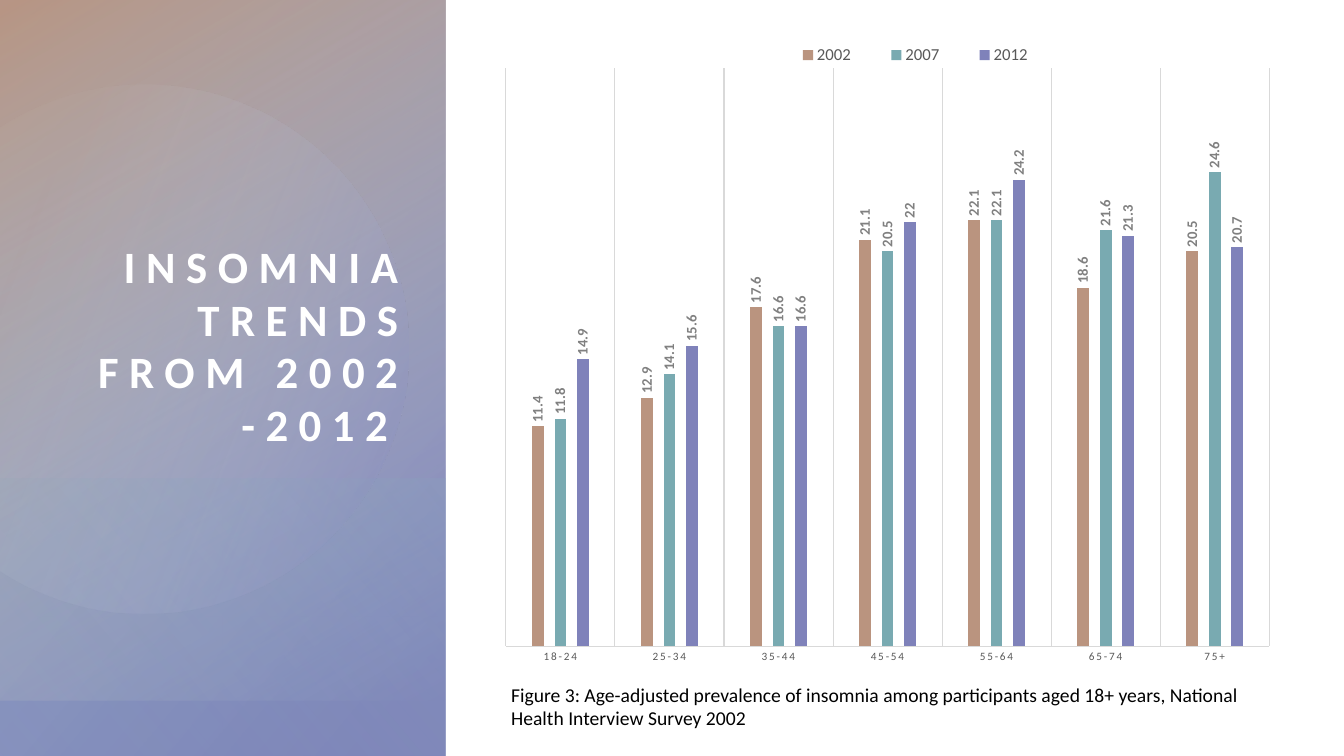
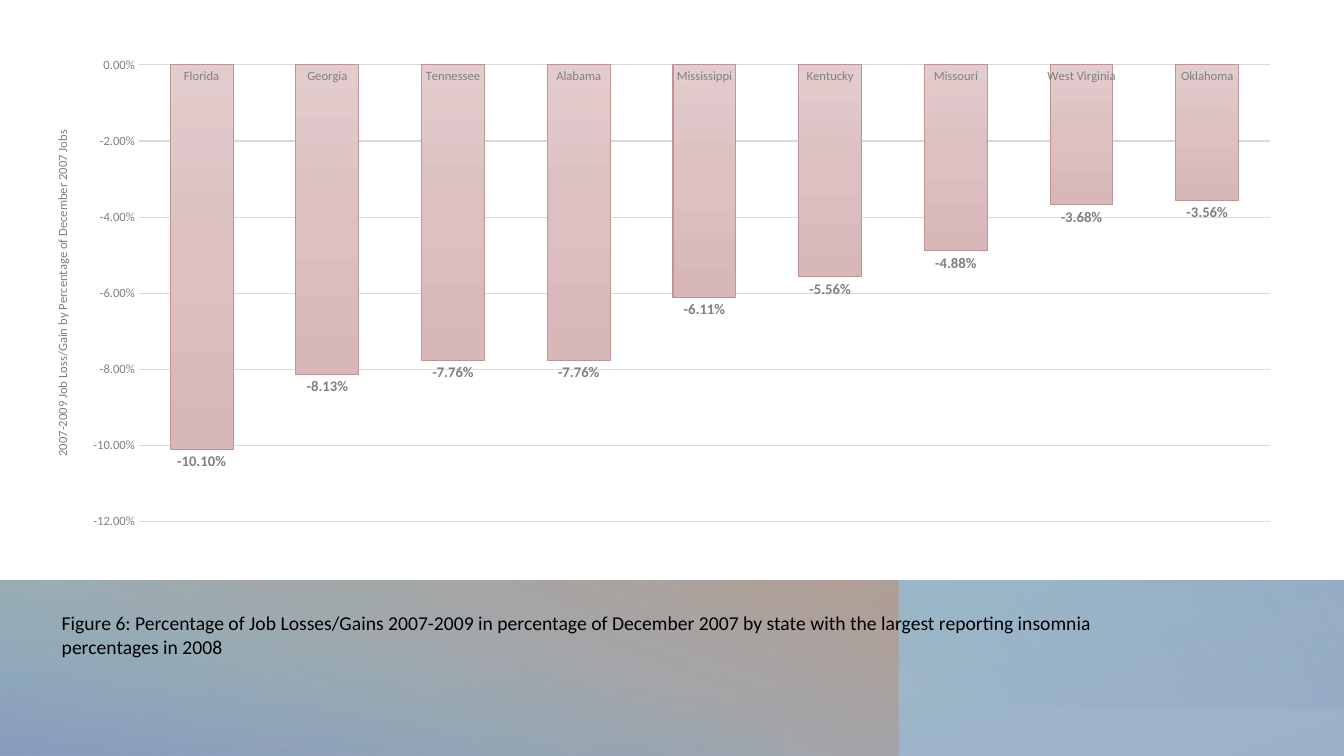
from math import acos, cos, degrees, radians, sin

from lxml.etree import SubElement
from pptx import Presentation
from pptx.chart.data import CategoryChartData
from pptx.dml.color import RGBColor
from pptx.enum.chart import XL_CHART_TYPE as ChartType
from pptx.enum.chart import XL_LABEL_POSITION as LabelPosition
from pptx.enum.chart import XL_LEGEND_POSITION as LegendPosition
from pptx.enum.chart import XL_TICK_MARK as TickMark
from pptx.enum.shapes import MSO_SHAPE as Preset
from pptx.enum.text import MSO_ANCHOR as Anchor
from pptx.enum.text import MSO_AUTO_SIZE as AutoSize
from pptx.enum.text import PP_ALIGN as Align
from pptx.oxml.ns import qn
from pptx.util import Pt

FONT = "Calibri"
TAN, TEAL, VIOLET, BLUE = "BA947F", "79AAB1", "7F82BA", "8AA3C0"
GRID, GREY, DARK_GREY, BLACK, WHITE = "D9D9D9", "808080", "595959", "000000", "FFFFFF"
UPRIGHT = "-5400000"


def rgb(hex_colour):
    return RGBColor.from_string(hex_colour)


def set_gradient(fill, properties, stops, angle):
    """Fill with (position, colour, opacity) stops in percent, angle clockwise."""
    fill.gradient()
    gradient = properties.find(qn("a:gradFill"))
    gradient.clear()
    gradient.set("rotWithShape", "1")
    stop_list = SubElement(gradient, qn("a:gsLst"))
    for position, colour, opacity in stops:
        stop = SubElement(stop_list, qn("a:gs"), pos=str(position * 1000))
        tint = SubElement(stop, qn("a:srgbClr"), val=colour)
        SubElement(tint, qn("a:alpha"), val=str(opacity * 1000))
    SubElement(gradient, qn("a:lin"), ang=str(round(angle * 60000)), scaled="0")


prs = Presentation()
prs.slide_width, prs.slide_height = Pt(960), Pt(540)

# Panels: visible box, rotation, mirrored, gradient stops, gradient angle
slide_designs = [
    {
        "layout": 5,
        "panels": [
            ((0, 0, 318, 540), 90, True, [(8, VIOLET, 100), (100, BLUE, 89)], 50),
            ((0, 0, 318, 500), 90, True, [(0, "B9C8D9", 0), (99, TAN, 92)], 30),
            ((0, 342, 318, 198), 90, True, [(2, BLUE, 28), (100, TEAL, 0)], 130),
        ],
        "chart_box": (350, 16, 568, 469),
        "plot_layout": (0.02, 0.07, 0.96, 0.88),
        "categories": ["18-24", "25-34", "35-44", "45-54", "55-64", "65-74", "75+"],
        "series": {
            "2002": [11.4, 12.9, 17.6, 21.1, 22.1, 18.6, 20.5],
            "2007": [11.8, 14.1, 16.6, 20.5, 22.1, 21.6, 24.6],
            "2012": [14.9, 15.6, 16.6, 22, 24.2, 21.3, 20.7],
        },
        "number_format": "General",
        "bars": {"gap_width": 444, "overlap": -90},
        "scale": {"minimum_scale": 0, "maximum_scale": 30, "major_unit": 5},
        "category_font": (8, DARK_GREY),
        "caption_box": (358, 484, 549, 41),
        "caption": "Figure 3: Age-adjusted prevalence of insomnia among participants "
                   "aged 18+ years, National Health Interview Survey 2002",
    },
    {
        "layout": 6,
        "panels": [
            ((0, 415, 960, 125), 0, False, [(0, BLUE, 83), (100, TEAL, 74)], 250),
            ((0, 415, 642, 125), 90, True, [(5, TAN, 68), (100, BLUE, 43)], 160),
            ((0, 415, 558, 125), 270, False, [(42, TEAL, 0), (99, VIOLET, 48)], 190),
            ((388, 415, 572, 91), 180, False, [(0, BLUE, 37), (56, BLUE, 0)], 330),
        ],
        "chart_box": (37, 36, 888, 347),
        "plot_layout": (0.07, 0.03, 0.91, 0.94),
        "categories": ["Florida", "Georgia", "Tennessee", "Alabama", "Mississippi",
                       "Kentucky", "Missouri", "West Virginia", "Oklahoma"],
        "series": {
            "Series 1": [-0.101, -0.0813, -0.0776, -0.0776, -0.0611,
                         -0.0556, -0.0488, -0.0368, -0.0356],
        },
        "number_format": "0.00%",
        "bars": {"gap_width": 100, "overlap": -24},
        "scale": {"minimum_scale": -0.12, "maximum_scale": 0, "major_unit": 0.02},
        "category_font": (9, GREY),
        "caption_box": (37, 433, 804, 41),
        "caption": "Figure 6: Percentage of Job Losses/Gains 2007-2009 in percentage of "
                   "December 2007 by state with the largest reporting insomnia "
                   "percentages in 2008",
    },
]

slides, charts = [], []
for design in slide_designs:
    slide = prs.slides.add_slide(prs.slide_layouts[design["layout"]])
    slides.append(slide)

    for (left, top, width, height), rotation, mirrored, stops, angle in design["panels"]:
        # A quarter turn swaps the sides around the same centre
        if rotation % 180:
            left, top = left + (width - height) / 2, top + (height - width) / 2
            width, height = height, width
        panel = slide.shapes.add_shape(
            Preset.RECTANGLE, Pt(left), Pt(top), Pt(width), Pt(height))
        panel.shadow.inherit = False
        panel.line.fill.background()
        panel.rotation = rotation
        if mirrored:
            panel._element.spPr.xfrm.set("flipH", "1")
        set_gradient(panel.fill, panel._element.spPr, stops, angle)

    data = CategoryChartData(number_format=design["number_format"])
    data.categories = design["categories"]
    for name, values in design["series"].items():
        data.add_series(name, values)
    chart = slide.shapes.add_chart(
        ChartType.COLUMN_CLUSTERED, *map(Pt, design["chart_box"]), data).chart
    charts.append(chart)
    chart.has_title = False
    chart.has_legend = False

    plot = chart.plots[0]
    plot.vary_by_categories = False
    plot.has_data_labels = True
    labels = plot.data_labels
    ages_or_states, amounts = chart.category_axis, chart.value_axis
    for target, settings in (
        (plot, design["bars"]),
        (amounts, design["scale"]),
        (labels, {"show_value": True, "position": LabelPosition.OUTSIDE_END,
                  "number_format": design["number_format"],
                  "number_format_is_linked": False}),
    ):
        for attribute, value in settings.items():
            setattr(target, attribute, value)

    for font, size, colour, bold in (
        (chart.font, 10, BLACK, False),
        (labels.font, 10.5, GREY, True),
        (ages_or_states.tick_labels.font, *design["category_font"], False),
        (amounts.tick_labels.font, 9, GREY, False),
    ):
        font.name, font.size, font.bold = FONT, Pt(size), bold
        font.color.rgb = rgb(colour)

    for axis in (ages_or_states, amounts):
        axis.major_tick_mark = axis.minor_tick_mark = TickMark.NONE
    amounts.format.line.fill.background()

    caption = slide.shapes.add_textbox(*map(Pt, design["caption_box"])).text_frame
    caption.word_wrap = True
    caption.text = design["caption"]
    caption_font = caption.paragraphs[0].runs[0].font
    caption_font.name, caption_font.size = FONT, Pt(14)
    caption_font.color.rgb = rgb(BLACK)

trend_slide = slides[0]
trend_chart, job_chart = charts

# Translucent disc, cut off at the left edge of the slide
centre_x, centre_y, radius = 103, 249.5, 189
reach = degrees(acos(-centre_x / radius))
steps = 120
rim = []
for step in range(steps + 1):
    turn = radians(-reach + 2 * reach * step / steps)
    rim.append((Pt(centre_x + radius * cos(turn)), Pt(centre_y + radius * sin(turn))))
outline = trend_slide.shapes.build_freeform(*rim[0])
outline.add_line_segments(rim[1:], close=True)
disc = outline.convert_to_shape()
disc.shadow.inherit = False
disc.line.fill.background()
set_gradient(disc.fill, disc._element.spPr, [(13, "E4EEEF", 2), (100, VIOLET, 29)], 21.6)

# Title, brought in front of the panels
title = trend_slide.shapes.title
title.left, title.top, title.width, title.height = Pt(37), Pt(54), Pt(255), Pt(269)
title._element.getparent().append(title._element)
heading = title.text_frame
heading.text = "INSOMNIA TRENDS FROM 2002 -2012 "
for attribute, value in {
    "word_wrap": True, "auto_size": AutoSize.NONE, "vertical_anchor": Anchor.BOTTOM,
    "margin_left": 0, "margin_top": 0, "margin_right": 0, "margin_bottom": 0,
}.items():
    setattr(heading, attribute, value)
heading_line = heading.paragraphs[0]
heading_line.alignment = Align.RIGHT
heading_line.line_spacing = 0.98
heading_run = heading_line.runs[0]
heading_run.font.name, heading_run.font.size, heading_run.font.bold = FONT, Pt(32), True
heading_run.font.color.rgb = rgb(WHITE)
heading_run._r.get_or_add_rPr().set("spc", "750")

# Insomnia chart: one colour per survey year, upright labels, no value axis
for year, colour in zip(trend_chart.plots[0].series, (TAN, TEAL, VIOLET)):
    year.format.fill.solid()
    year.format.fill.fore_color.rgb = rgb(colour)
    year.invert_if_negative = False
trend_chart.value_axis.visible = False
trend_chart.value_axis.has_major_gridlines = False
ages = trend_chart.category_axis
ages.has_major_gridlines = True
ages._element.xpath(".//a:defRPr")[0].set("spc", "120")
trend_chart.has_legend = True
legend = trend_chart.legend
legend.position = LegendPosition.TOP
legend.include_in_layout = False
legend.font.name, legend.font.size = FONT, Pt(12)
legend.font.color.rgb = rgb(DARK_GREY)

# Job chart: shaded bars and a titled percentage axis
losses = job_chart.plots[0].series[0]
losses.invert_if_negative = False
set_gradient(losses.format.fill, losses._element.spPr,
             [(0, "E3CCCD", 100), (50, "DCC0C2", 100), (100, "D8B7B9", 100)], 90)
job_axis = job_chart.value_axis
job_axis.tick_labels.number_format = "0.00%"
job_axis.tick_labels.number_format_is_linked = False
axis_title = job_axis.axis_title.text_frame
axis_title.text = "2007-2009 Job Loss/Gain by Percentage of December 2007 Jobs"
axis_font = axis_title.paragraphs[0].runs[0].font
axis_font.name, axis_font.size, axis_font.bold = FONT, Pt(9), False
axis_font.color.rgb = rgb(GREY)

for line, colour in (
    (ages.format.line, GRID),
    (ages.major_gridlines.format.line, GRID),
    (job_chart.category_axis.format.line, GRID),
    (job_axis.major_gridlines.format.line, GRID),
    (losses.format.line, "C29396"),
):
    line.width = Pt(0.75)
    line.color.rgb = rgb(colour)

for turned in (trend_chart.plots[0].data_labels, job_axis.axis_title):
    body = turned._element.xpath(".//a:bodyPr")[0]
    body.set("rot", UPRIGHT)
    body.set("vert", "horz")

# Fixed places, as fractions of the chart, for both plots and the legend
placements = [
    (chart._chartSpace.xpath(".//c:plotArea")[0], 0, design["plot_layout"])
    for chart, design in zip(charts, slide_designs)
]
placements.append((legend._element, 1, (0.35, 0.03, 0.37, 0.04)))
for part, index, fractions in placements:
    for old_layout in part.findall(qn("c:layout")):
        part.remove(old_layout)
    layout = SubElement(part, qn("c:layout"))
    part.insert(index, layout)
    manual = SubElement(layout, qn("c:manualLayout"))
    if part is not legend._element:
        SubElement(manual, qn("c:layoutTarget"), val="inner")
    for mode in ("xMode", "yMode"):
        SubElement(manual, qn("c:" + mode), val="edge")
    for side, fraction in zip("xywh", fractions):
        SubElement(manual, qn("c:" + side), val=str(fraction))

prs.save("out.pptx")
